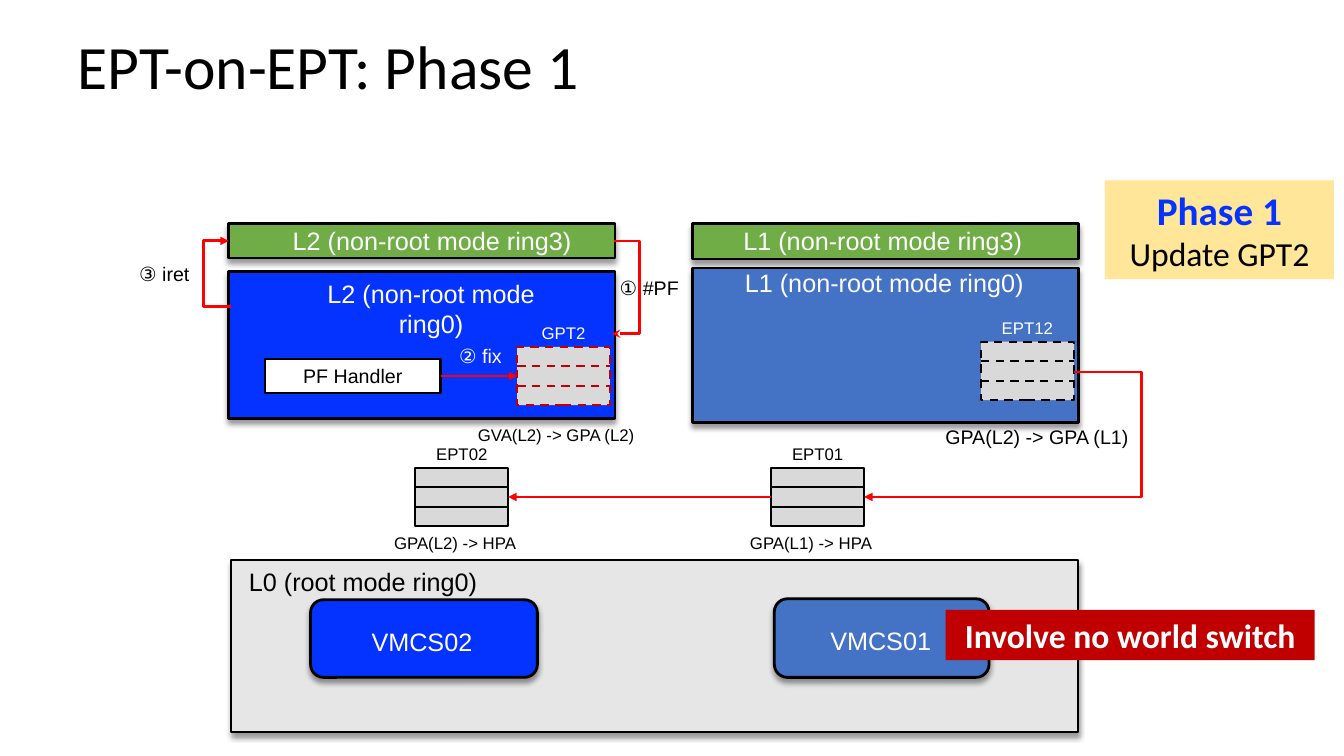
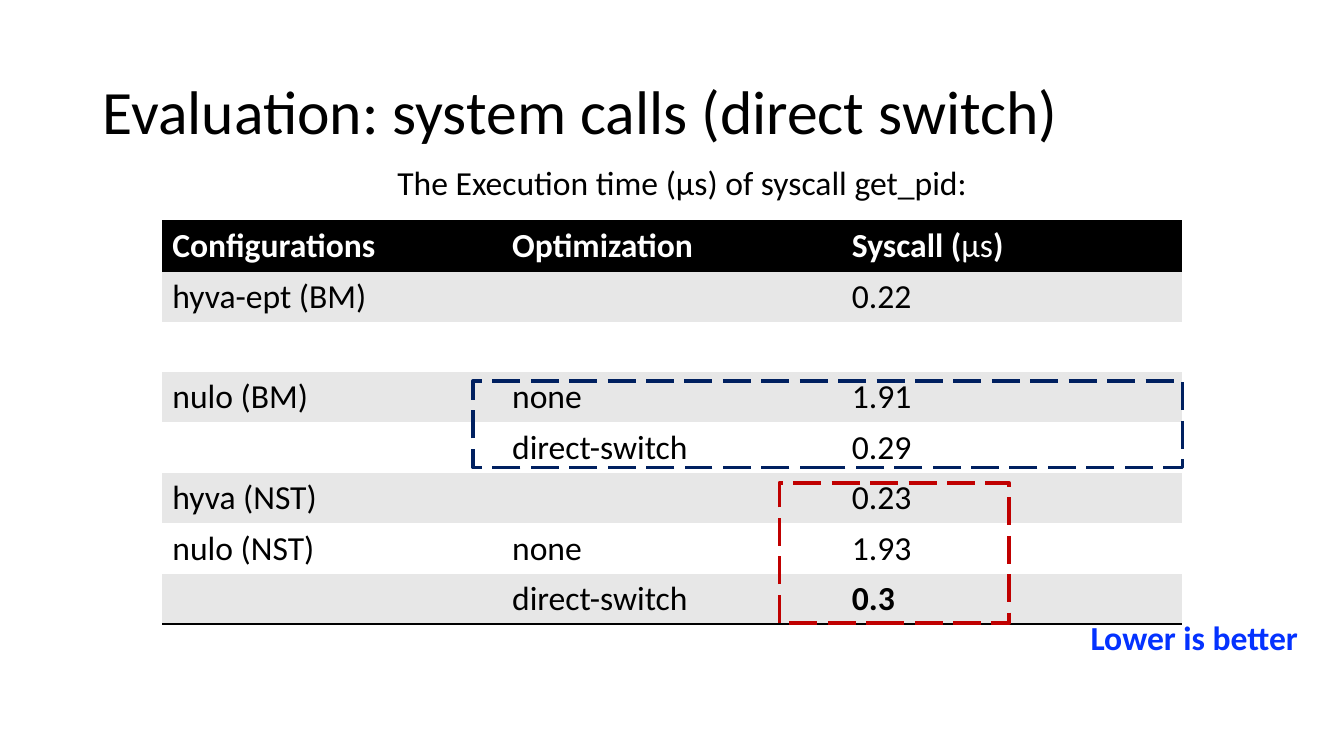
from lxml.etree import SubElement
from pptx import Presentation
from pptx.dml.color import RGBColor
from pptx.enum.dml import MSO_LINE
from pptx.enum.shapes import MSO_CONNECTOR, MSO_SHAPE
from pptx.enum.text import MSO_ANCHOR, PP_ALIGN
from pptx.oxml.ns import qn
from pptx.util import Inches, Pt

HUES = {
    "black": "000000", "white": "FFFFFF", "green": "70AD47",
    "blue": "0432FF", "steel": "4472C4", "navy": "002060",
    "red": "FF0000", "brick": "C00000", "sand": "FFE699",
    "pale": "E7E6E6", "gray": "D9D9D9", "band": "E7E7E7",
}
PLAIN_GRID = "{2D5ABB26-0587-4C30-8999-92F81FD0307C}"
LEFT, MID = PP_ALIGN.LEFT, PP_ALIGN.CENTER
DASH, LONG = MSO_LINE.DASH, MSO_LINE.LONG_DASH


def hue(name):
    return RGBColor.from_string(HUES[name])


def write(frame, *paras, align=MID, anchor=MSO_ANCHOR.TOP, **style):
    """Fill a frame; a paragraph is a string or a list of (text, style) runs."""
    frame.word_wrap = True
    frame.vertical_anchor = anchor
    for i, runs in enumerate(paras):
        para = frame.add_paragraph() if i else frame.paragraphs[0]
        para.alignment = align
        for words, extra in [(runs, {})] if isinstance(runs, str) else runs:
            look = {"font": "Arial", "size": 18, "color": "black",
                    "bold": False, **style, **extra}
            run = para.add_run()
            run.text = words
            run.font.name = look["font"]
            run.font.size = Pt(look["size"])
            run.font.bold = look["bold"]
            run.font.color.rgb = hue(look["color"])


class Deck:
    font = "Calibri"

    def __init__(self):
        self.file = Presentation()
        self.file.slide_width = Inches(13.33)
        self.file.slide_height = Inches(7.5)

    def page(self, title, x, y):
        self.slide = self.file.slides.add_slide(self.file.slide_layouts[6])
        self.text((x, y, 12, 0.84), title, align=LEFT, size=44,
                  font=self.font, anchor=MSO_ANCHOR.MIDDLE)

    def text(self, at, *paras, **style):
        box = self.slide.shapes.add_textbox(*map(Inches, at))
        write(box.text_frame, *paras, **style)

    def box(self, at, fill=None, edge=None, width=2, dash=None,
            kind=MSO_SHAPE.RECTANGLE, shade=False):
        box = self.slide.shapes.add_shape(kind, *map(Inches, at))
        if fill:
            box.fill.solid()
            box.fill.fore_color.rgb = hue(fill)
        else:
            box.fill.background()
        if edge:
            self.pen(box.line, edge, width, dash)
        else:
            box.line.fill.background()
        box.shadow.inherit = False
        if shade:
            glow = box._element.spPr.find(qn("a:effectLst"))
            drop = SubElement(glow, qn("a:outerShdw"), blurRad=str(Pt(4)),
                              dist=str(Pt(3)), dir="5400000", rotWithShape="0")
            tone = SubElement(drop, qn("a:srgbClr"), val=HUES["black"])
            SubElement(tone, qn("a:alpha"), val="40000")
        return box

    def label(self, at, *paras, fill, edge=None, width=1.5, **style):
        """Draw a flat box with text in its middle."""
        box = self.box(at, fill, edge, width)
        write(box.text_frame, *paras, anchor=MSO_ANCHOR.MIDDLE, **style)
        return box

    def pen(self, line, color, width, dash=None):
        line.color.rgb = hue(color)
        line.width = Pt(width)
        if dash:
            line.dash_style = dash

    def line(self, start, end, color="red", width=2, dash=None, tip=None,
             turn=None):
        """Draw a line; turn is the x at which an elbow runs upright."""
        kind = MSO_CONNECTOR.STRAIGHT if turn is None else MSO_CONNECTOR.ELBOW
        line = self.slide.shapes.add_connector(
            kind, *map(Inches, (*start, *end)))
        self.pen(line.line, color, width, dash)
        props = line._element.spPr
        if tip:
            SubElement(props.find(qn("a:ln")), qn("a:tailEnd"), type=tip)
        if turn is not None:
            bend = (turn - start[0]) / (end[0] - start[0])
            SubElement(props.find(qn("a:prstGeom")).find(qn("a:avLst")),
                       qn("a:gd"), name="adj1",
                       fmla=f"val {round(bend * 100000)}")
        SubElement(props, qn("a:effectLst"))
        return line

    def join(self, a, side, b, other):
        """Draw an arrow from a side of one box to a side of another."""
        line = self.line((0, 0), (1, 1), tip="triangle")
        line.begin_connect(a, side)
        line.end_connect(b, other)

    def stack(self, x, y, name, color="black", ink="black", dash=None):
        """Draw a page table of three rows with its name above."""
        wide, high = 0.92, 0.58
        box = self.box((x, y, wide, high), "gray", color, 1.5, dash)
        for i in (1, 2):
            row = y + i * high / 3
            self.line((x, row), (x + wide, row), color, 1.5, dash)
        self.text((x, y - 0.29, wide, 0.3), name, size=12, color=ink)
        return box

    def grid(self, x, y, wide, high, rows):
        frame = self.slide.shapes.add_table(
            len(rows), len(rows[0]), Inches(x), Inches(y),
            Inches(wide), Inches(high))
        table = frame.table
        table._tbl.tblPr.find(qn("a:tableStyleId")).text = PLAIN_GRID
        last = len(rows) - 1
        for r, row in enumerate(rows):
            head = r == 0
            for c, words in enumerate(row):
                cell = table.cell(r, c)
                cell.fill.solid()
                cell.fill.fore_color.rgb = hue(
                    "black" if head else "band" if r % 2 else "white")
                if words:
                    write(cell.text_frame, words, align=LEFT, size=24,
                          font=self.font, bold=head or words == "0.3",
                          color="white" if head else "black")
                if r in (0, last):
                    self.rule(cell, "a:lnB")
                if head:
                    self.rule(cell, "a:lnT")

    def rule(self, cell, side):
        props = cell._tc.get_or_add_tcPr()
        edge = SubElement(props, qn(side), w=str(Pt(2)))
        fill = SubElement(edge, qn("a:solidFill"))
        SubElement(fill, qn("a:srgbClr"), val=HUES["black"])
        props.insert(0, edge)


def phase(deck):
    deck.page("EPT-on-EPT: Phase 1", 0.67, 0.22)

    for at, fill in [((2.27, 2.22, 3.83, 0.34), "green"),
                     ((2.27, 2.69, 3.83, 1.46), "blue"),
                     ((6.87, 2.22, 3.83, 0.35), "green"),
                     ((6.87, 2.66, 3.83, 1.53), "steel")]:
        deck.box(at, fill, "black", shade=True)
    deck.box((2.29, 5.56, 8.4, 1.7), "pale", "black", 1.5, shade=True)
    for at, fill in [((3.08, 5.95, 2.25, 0.77), "blue"),
                     ((7.68, 5.94, 2.13, 0.78), "steel")]:
        deck.box(at, fill, "black", shade=True,
                 kind=MSO_SHAPE.ROUNDED_RECTANGLE)
    for at, words in [((2.74, 2.19, 3.09, 0.4), "L2 (non-root mode ring3)"),
                      ((2.82, 2.71, 2.91, 0.4), "L2 (non-root mode ring0)"),
                      ((7.21, 2.19, 3.09, 0.4), "L1 (non-root mode ring3)"),
                      ((6.96, 2.6, 3.62, 0.4), "L1 (non-root mode ring0)"),
                      ((3.07, 6.16, 2.23, 0.4), "VMCS02"),
                      ((7.66, 6.15, 2.15, 0.4), "VMCS01")]:
        deck.text(at, words, color="white")
    deck.text((2.37, 5.57, 3.43, 0.4), "L0 (root mode ring0)", align=LEFT)

    fixer = deck.label((2.63, 3.56, 1.74, 0.34), "PF Handler",
                       fill="white", edge="black", size=14)
    guest = deck.stack(5.13, 3.44, "GPT2", "brick", "white", DASH)
    deck.stack(9.73, 3.39, "EPT12", ink="white", dash=DASH)
    ept02 = deck.stack(4.12, 4.64, "EPT02")
    ept01 = deck.stack(7.65, 4.64, "EPT01")

    deck.join(fixer, 3, guest, 1)
    deck.join(ept01, 1, ept02, 3)
    deck.line((6.09, 2.39), (6.07, 3.31), tip="stealth", turn=6.34)
    deck.line((2.29, 3.04), (2.27, 2.39), tip="triangle", turn=2.02)
    deck.line((10.65, 3.69), (8.57, 4.93), tip="triangle", turn=11.32)

    for at, words, size, ink in [
            ((5.99, 2.69, 0.9, 0.34), "① #PF", 14, "black"),
            ((4.29, 3.36, 0.95, 0.34), "② fix", 14, "white"),
            ((1.25, 2.55, 0.76, 0.34), "③ iret", 14, "black"),
            ((9.23, 4.17, 2.11, 0.34), "GPA(L2) -> GPA (L1)", 14, "black"),
            ((4.64, 4.16, 2.09, 0.3), "GVA(L2) -> GPA (L2)", 12, "black"),
            ((3.81, 5.24, 1.66, 0.3), "GPA(L2) -> HPA", 12, "black"),
            ((7.34, 5.24, 1.66, 0.3), "GPA(L1) -> HPA", 12, "black")]:
        deck.text(at, words, size=size, color=ink,
                  align=LEFT if size == 12 else MID)

    deck.label((10.96, 1.79, 2.27, 0.98),
               [("Phase 1", {"size": 28, "color": "blue", "bold": True})],
               "Update GPT2", fill="sand", size=24, font=deck.font)
    deck.label((9.38, 6.05, 3.66, 0.5), "Involve no world switch",
               fill="brick", size=24, font=deck.font, color="white", bold=True)


def calls(deck):
    deck.page("Evaluation: system calls (direct switch)", 0.92, 0.67)
    deck.text((1.71, 1.56, 10.11, 0.5),
              "The Execution time (μs) of syscall get_pid:",
              size=24, font=deck.font)
    deck.grid(1.61, 2.19, 10.11, 4, [
        ["Configurations", "Optimization",
         [("Syscall (", {}), ("μs", {"bold": False}), (")", {})]],
        ["hyva-ept (BM)", "", "0.22"],
        ["", "", ""],
        ["nulo (BM)", "none", "1.91"],
        ["", "direct-switch", "0.29"],
        ["hyva (NST)", "", "0.23"],
        ["nulo (NST)", "none", "1.93"],
        ["", "direct-switch", "0.3"],
    ])
    deck.box((4.69, 3.78, 7.04, 0.86), edge="navy", width=2.5, dash=LONG)
    deck.box((7.73, 4.79, 2.28, 1.39), edge="brick", width=2.5, dash=LONG)
    deck.text((10.62, 6.07, 2.45, 0.5), "Lower is better",
              size=24, font=deck.font, color="blue", bold=True)


def main():
    deck = Deck()
    phase(deck)
    calls(deck)
    deck.file.save("out.pptx")


if __name__ == "__main__":
    main()
